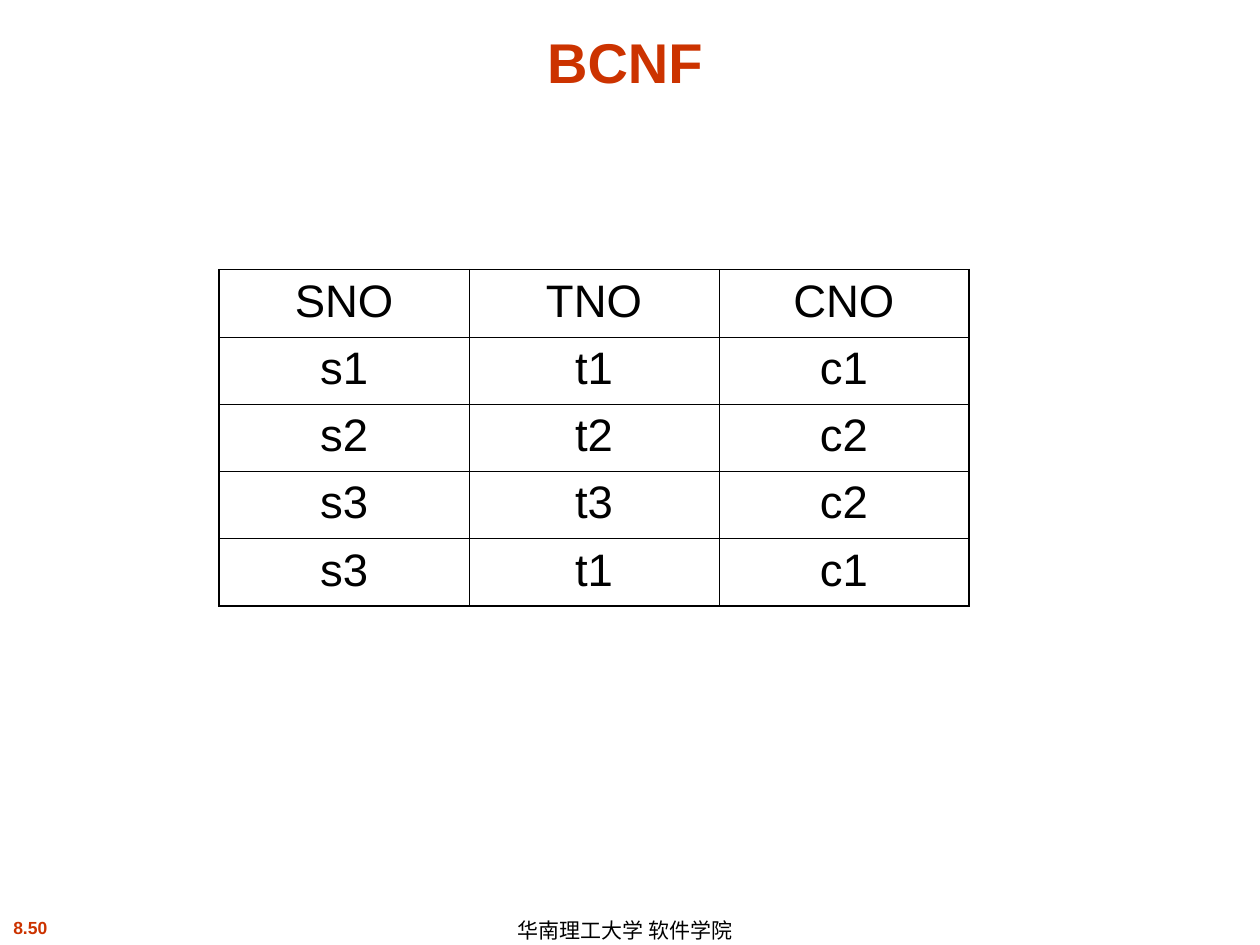
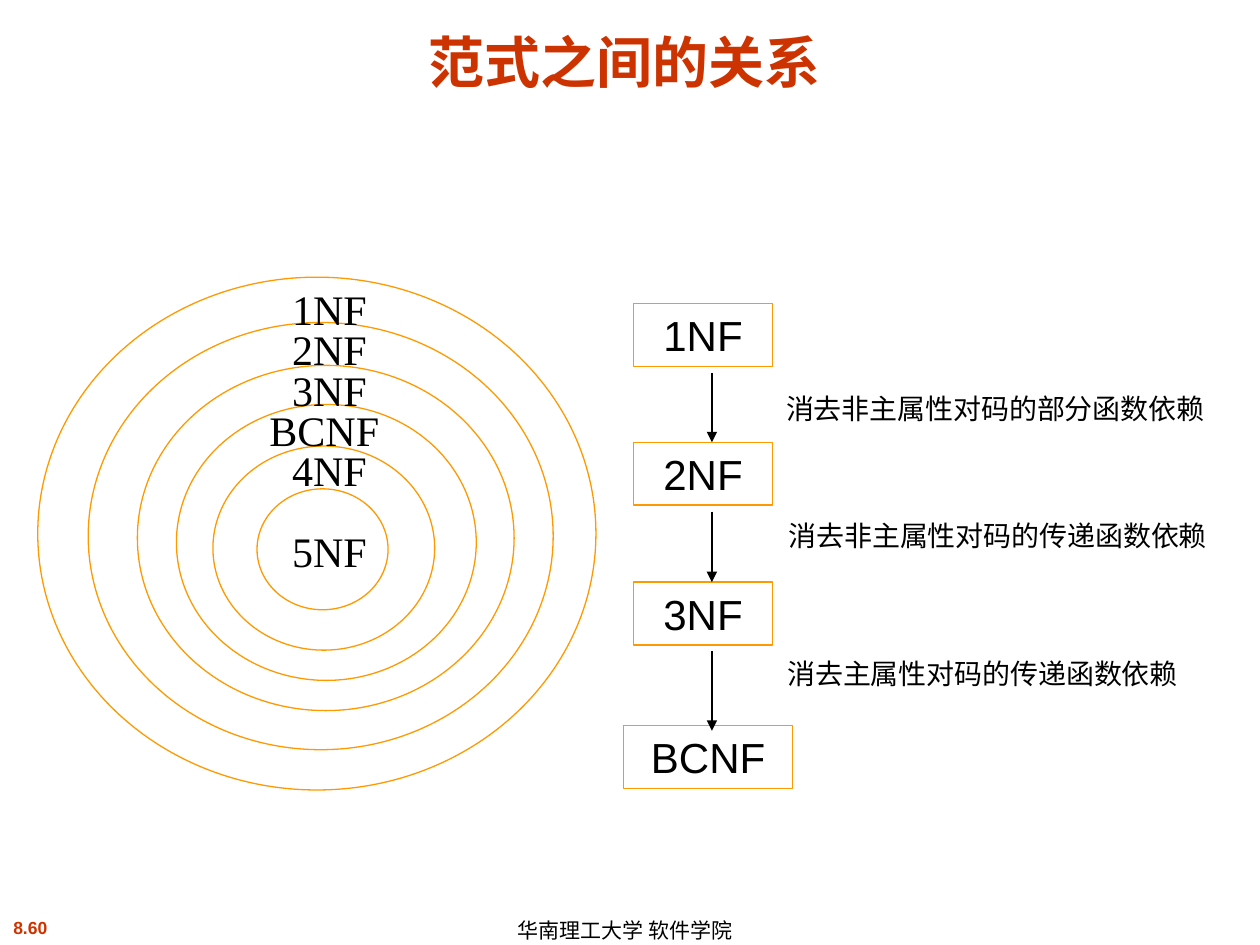
from dataclasses import dataclass
from typing import Any

import pptx
import pptx.util
import pptx.oxml
import pptx.oxml.ns
from pptx.dml.color import RGBColor
from pptx.enum.shapes import MSO_CONNECTOR, MSO_SHAPE
from pptx.enum.text import MSO_ANCHOR, PP_ALIGN

WIDTH = pptx.util.Inches(10)
HEIGHT = pptx.util.Inches(7.5)
COL = WIDTH / 100
ROW = HEIGHT / 75

RED = RGBColor(0xCC, 0x33, 0x00)
ORANGE = RGBColor(0xFF, 0x99, 0x00)
BLACK = RGBColor(0, 0, 0)

SANS = "Arial"
SERIF = "Times New Roman"
THIN = pptx.util.Pt(0.45)
THICK = pptx.util.Pt(1.08)


@dataclass(frozen=True)
class Box:
    x: float
    y: float
    w: float
    h: float

    def emu(self) -> tuple[int, int, int, int]:
        return (round(self.x * COL), round(self.y * ROW),
                round(self.w * COL), round(self.h * ROW))


@dataclass(frozen=True)
class Style:
    size: float
    color: RGBColor = BLACK
    font: str = SANS
    bold: bool = False
    align: PP_ALIGN = PP_ALIGN.CENTER
    anchor: MSO_ANCHOR = MSO_ANCHOR.TOP
    spacing: float = 1.0


@dataclass(frozen=True)
class Step:
    name: str
    box: Box


@dataclass(frozen=True)
class Arrow:
    top: float
    bottom: float
    note: str
    note_x: float
    note_y: float


TITLE = Style(32, RED, bold=True, anchor=MSO_ANCHOR.BOTTOM)
NUMBER = Style(10, RED, bold=True)
FOOTER = Style(12, align=PP_ALIGN.LEFT, anchor=MSO_ANCHOR.MIDDLE, spacing=1.1)
CELL = Style(26)
STEP = Style(24)
NOTE = Style(16, align=PP_ALIGN.LEFT)
RING_LABEL = Style(24, font=SERIF, align=PP_ALIGN.LEFT)

TABLE_BOX = Box(17.4, 21.4, 59.5, 26.7)
TABLE_ROWS = [
    ("SNO", "TNO", "CNO"),
    ("s1", "t1", "c1"),
    ("s2", "t2", "c2"),
    ("s3", "t3", "c2"),
    ("s3", "t1", "c1"),
]

STEPS = [
    Step("1NF", Box(50.3, 24.1, 11, 5)),
    Step("2NF", Box(50.3, 35.1, 11, 5)),
    Step("3NF", Box(50.3, 46.2, 11, 5)),
    Step("BCNF", Box(49.5, 57.6, 13.4, 5)),
]
ARROW_X = 56.5
ARROWS = [
    Arrow(29.6, 35.1, "消去非主属性对码的部分函数依赖", 61.4, 30.6),
    Arrow(40.6, 46.2, "消去非主属性对码的传递函数依赖", 61.6, 40.7),
    Arrow(51.7, 58, "消去主属性对码的传递函数依赖", 61.5, 51.6),
]
RINGS = [
    Box(20.4, 38.8, 10.4, 9.6),
    Box(16.9, 35.4, 17.6, 16.2),
    Box(14, 32.1, 23.8, 21.9),
    Box(10.9, 29, 29.9, 27.4),
    Box(7, 25.6, 36.9, 33.9),
    Box(3, 22, 44.3, 40.7),
]
LABEL_TOP = 22
LABEL_STEP = 3.2
RING_LABELS = {"1NF": 0, "2NF": 1, "3NF": 2, "BCNF": 3, "4NF": 4, "5NF": 6}


def write(tf: Any, text: str, style: Style) -> None:
    tf.word_wrap = True
    tf.vertical_anchor = style.anchor
    p = tf.paragraphs[0]
    p.text = text
    p.alignment = style.align
    p.line_spacing = style.spacing
    p.font.size = pptx.util.Pt(style.size)
    p.font.name = style.font
    p.font.bold = style.bold
    p.font.color.rgb = style.color


def add_text(shapes: Any, box: Box, text: str, style: Style) -> None:
    write(shapes.add_textbox(*box.emu()).text_frame, text, style)


def add_outline(shapes: Any, kind: MSO_SHAPE, box: Box) -> Any:
    sp = shapes.add_shape(kind, *box.emu())
    sp.shadow.inherit = False
    sp.fill.background()
    sp.line.color.rgb = ORANGE
    sp.line.width = pptx.util.Pt(0.75)
    return sp


def add_arrow(shapes: Any, x: float, top: float, bottom: float) -> None:
    cx = shapes.add_connector(MSO_CONNECTOR.STRAIGHT, round(x * COL), round(top * ROW),
                              round(x * COL), round(bottom * ROW))
    cx.line.color.rgb = BLACK
    cx.line.width = pptx.util.Pt(0.75)
    ns = pptx.oxml.ns.nsdecls("a")
    cx.line._get_or_add_ln().append(
        pptx.oxml.parse_xml(f'<a:tailEnd {ns} type="triangle"/>'))
    cx._element.spPr.append(pptx.oxml.parse_xml(f"<a:effectLst {ns}/>"))


def set_borders(cell: Any, widths: dict[str, int]) -> None:
    tcPr = cell._tc.get_or_add_tcPr()
    for i, (side, width) in enumerate(widths.items()):
        tcPr.insert(i, pptx.oxml.parse_xml(
            f'<a:ln{side} {pptx.oxml.ns.nsdecls("a")} w="{width}"><a:solidFill>'
            f'<a:srgbClr val="{BLACK}"/></a:solidFill></a:ln{side}>'))


def add_grid(shapes: Any, box: Box, rows: list[tuple[str, ...]]) -> None:
    last_row, last_col = len(rows) - 1, len(rows[0]) - 1
    table = shapes.add_table(last_row + 1, last_col + 1, *box.emu()).table
    table.first_row = table.horz_banding = False
    for i, row in enumerate(rows):
        for j, text in enumerate(row):
            cell = table.cell(i, j)
            cell.fill.background()
            write(cell.text_frame, text, CELL)
            outer = {"L": j == 0, "R": j == last_col, "T": i == 0, "B": i == last_row}
            set_borders(cell, {side: THICK if edge else THIN
                               for side, edge in outer.items()})


def add_slide(prs: Any, title: str, number: str) -> Any:
    s = prs.slides.add_slide(prs.slide_layouts[6])
    add_text(s.shapes, Box(-2.5, 72.3, 9.8, 2.7), number, NUMBER)
    add_text(s.shapes, Box(40.1, 72.5, 22.4, 2.5), "华南理工大学 软件学院", FOOTER)
    add_text(s.shapes, Box(2.5, 1.3, 94.2, 6.7), title, TITLE)
    return s


def build_table_slide(prs: Any) -> None:
    s = add_slide(prs, "BCNF", "8.50")
    add_grid(s.shapes, TABLE_BOX, TABLE_ROWS)


def build_relation_slide(prs: Any) -> None:
    s = add_slide(prs, "范式之间的关系", "8.60")
    for step in STEPS:
        sp = add_outline(s.shapes, MSO_SHAPE.RECTANGLE, step.box)
        write(sp.text_frame, step.name, STEP)
    for arrow in ARROWS:
        add_arrow(s.shapes, ARROW_X, arrow.top, arrow.bottom)
        add_text(s.shapes, Box(arrow.note_x, arrow.note_y, 36.3, 3.7), arrow.note, NOTE)
    rings = s.shapes.add_group_shape().shapes
    for box in RINGS:
        add_outline(rings, MSO_SHAPE.OVAL, box)
    for name, level in RING_LABELS.items():
        x, w = (20.4, 13.1) if name == "BCNF" else (22.2, 9.6)
        add_text(rings, Box(x, LABEL_TOP + level * LABEL_STEP, w, 5), name, RING_LABEL)


def main() -> None:
    prs = pptx.Presentation()
    prs.slide_width, prs.slide_height = WIDTH, HEIGHT
    build_table_slide(prs)
    build_relation_slide(prs)
    prs.save("out.pptx")


if __name__ == "__main__":
    main()
